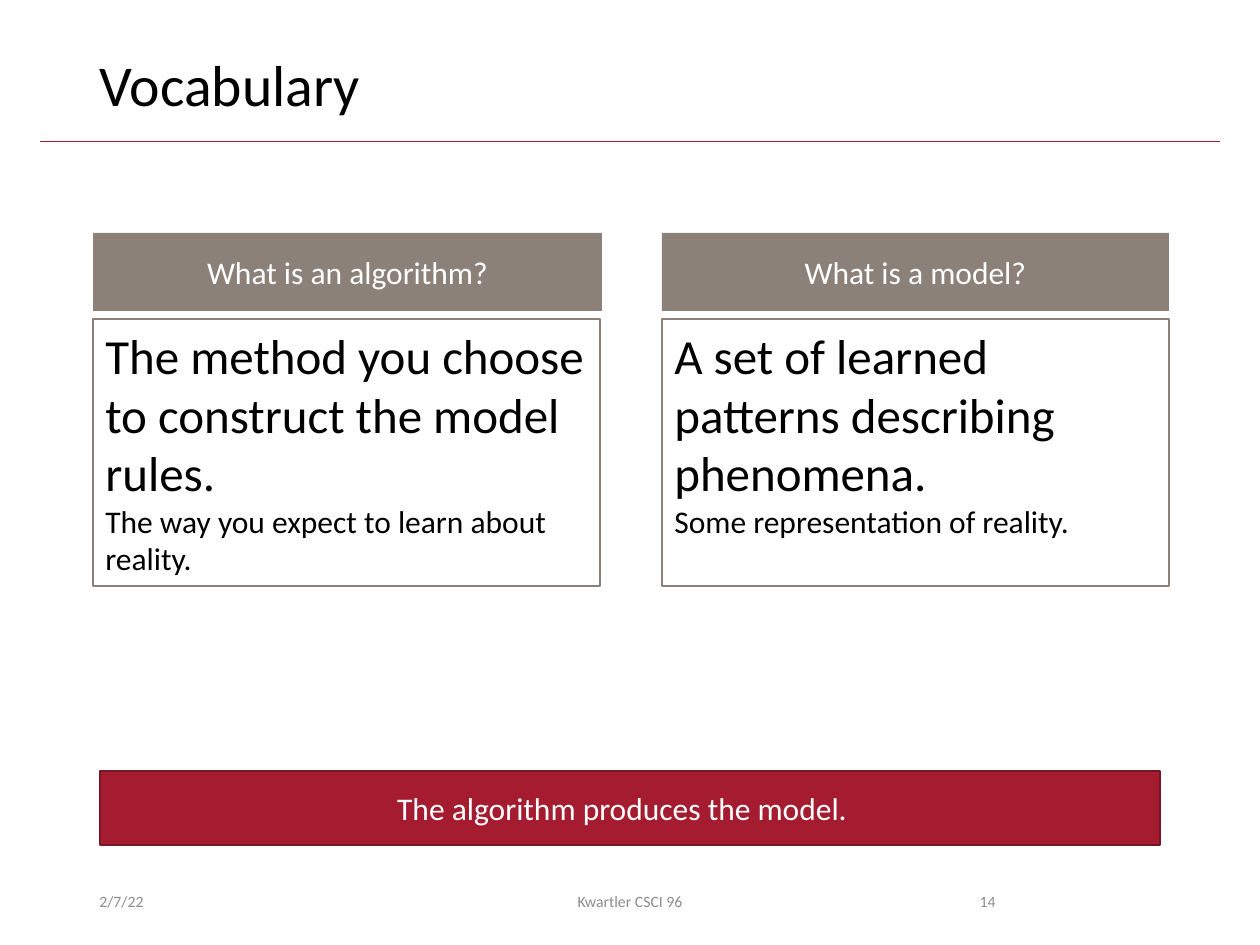
from dataclasses import dataclass

from pptx import Presentation
from pptx.dml.color import RGBColor
from pptx.enum.shapes import MSO_CONNECTOR, MSO_SHAPE
from pptx.enum.text import MSO_ANCHOR, MSO_AUTO_SIZE, PP_ALIGN
from pptx.oxml.ns import qn
from pptx.util import Emu, Pt

PX_PER_INCH = 126
FONT = "Calibri"
BLACK = RGBColor(0x00, 0x00, 0x00)
WHITE = RGBColor(0xFF, 0xFF, 0xFF)
GRAY = RGBColor(0x8C, 0x8C, 0x8C)
TAUPE = RGBColor(0x8C, 0x81, 0x79)
CRIMSON = RGBColor(0xA5, 0x1C, 0x30)
DARK_CRIMSON = RGBColor(0x7A, 0x15, 0x24)


@dataclass
class Box:
    left: int
    top: int
    width: int
    height: int

    def emu(self) -> tuple:
        return tuple(px(value) for value in (self.left, self.top, self.width, self.height))


@dataclass
class Definition:
    left: int
    header_width: int
    question: str
    answer: str
    detail: str


@dataclass
class FooterItem:
    left: int
    width: int
    text: str
    alignment: PP_ALIGN


DEFINITIONS = [
    Definition(93, 509, "What is an algorithm?",
               "The method you choose to construct the model rules.",
               "The way you expect to learn about reality."),
    Definition(662, 507, "What is a model?",
               "A set of learned patterns describing phenomena.",
               "Some representation of reality."),
]
FOOTER_ITEMS = [
    FooterItem(87, 284, "2/7/22", PP_ALIGN.LEFT),
    FooterItem(417, 426, "Kwartler CSCI 96", PP_ALIGN.CENTER),
    FooterItem(890, 118, "14", PP_ALIGN.RIGHT),
]


def px(value: int) -> Emu:
    return Emu(round(value * 914400 / PX_PER_INCH))


def write(shape, lines: list, color: RGBColor, alignment: PP_ALIGN,
          anchor: MSO_ANCHOR = MSO_ANCHOR.MIDDLE) -> None:
    """Fill a shape with (text, point size) lines."""
    frame = shape.text_frame
    frame.word_wrap = True
    frame.auto_size = MSO_AUTO_SIZE.NONE
    frame.vertical_anchor = anchor
    frame.text = "\n".join(text for text, _ in lines)
    for paragraph, (_, size) in zip(frame.paragraphs, lines):
        paragraph.alignment = alignment
        for run in paragraph.runs:
            run.font.name = FONT
            run.font.size = Pt(size)
            run.font.color.rgb = color


def add_panel(slide, box: Box, fill: RGBColor = None, line: RGBColor = None,
              line_width: float = 0.75):
    shape = slide.shapes.add_shape(MSO_SHAPE.RECTANGLE, *box.emu())
    shape.shadow.inherit = False
    if fill is None:
        shape.fill.background()
    else:
        shape.fill.solid()
        shape.fill.fore_color.rgb = fill
    if line is None:
        shape.line.fill.background()
    else:
        shape.line.color.rgb = line
        shape.line.width = Pt(line_width)
    return shape


def add_definition(slide, item: Definition) -> None:
    header = add_panel(slide, Box(item.left, 233, item.header_width, 78), fill=TAUPE)
    write(header, [(item.question, 18)], WHITE, PP_ALIGN.CENTER)
    body = add_panel(slide, Box(item.left, 319, 507, 267), line=TAUPE)
    write(body, [(item.answer, 28), (item.detail, 18)], BLACK, PP_ALIGN.LEFT, MSO_ANCHOR.TOP)


def add_footer_item(slide, item: FooterItem) -> None:
    textbox = slide.shapes.add_textbox(*Box(item.left, 876, item.width, 50).emu())
    write(textbox, [(item.text, 9)], GRAY, item.alignment)


def main() -> None:
    presentation = Presentation()
    presentation.slide_width, presentation.slide_height = px(1260), px(945)
    slide = presentation.slides.add_slide(presentation.slide_layouts[5])

    # Title and the rule below it
    title = slide.shapes.title
    title.left, title.top, title.width, title.height = Box(87, 50, 1086, 82).emu()
    write(title, [("Vocabulary", 33)], BLACK, PP_ALIGN.LEFT, MSO_ANCHOR.TOP)
    title.text_frame.paragraphs[0].line_spacing = 0.9
    rule = slide.shapes.add_connector(MSO_CONNECTOR.STRAIGHT, px(40), px(141), px(1220), px(141))
    rule.line.color.rgb = CRIMSON
    rule.line.width = Pt(0.5)
    properties = rule._element.spPr
    properties.append(properties.makeelement(qn("a:effectLst"), {}))

    # Definitions side by side
    for definition in DEFINITIONS:
        add_definition(slide, definition)

    # Conclusion banner, with its text slightly left of centre
    banner = add_panel(slide, Box(100, 771, 1060, 74), CRIMSON, DARK_CRIMSON, 1)
    write(banner, [("The algorithm produces the model.", 18)], WHITE, PP_ALIGN.CENTER)
    banner.text_frame.margin_right = px(28)

    # Footer
    for footer_item in FOOTER_ITEMS:
        add_footer_item(slide, footer_item)

    presentation.save("out.pptx")


if __name__ == "__main__":
    main()
